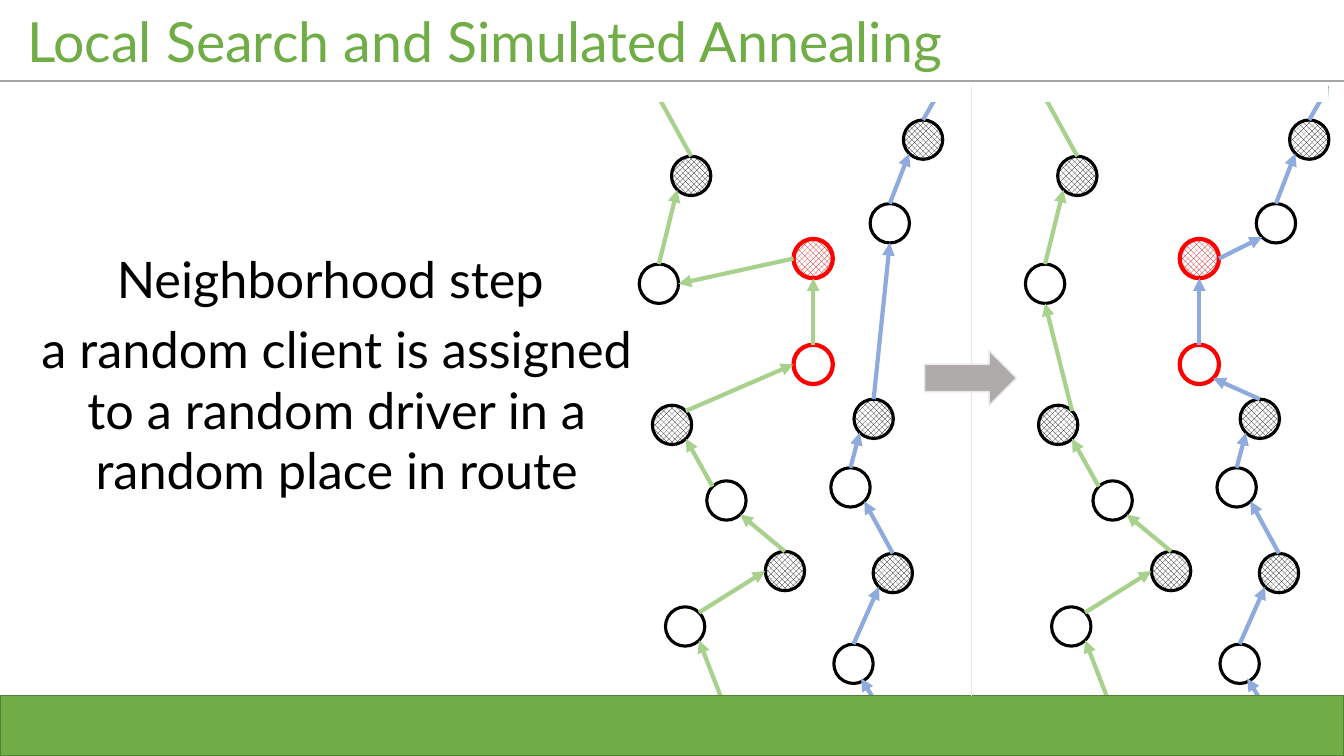
"""Draw the slide on moving a random client between two driver routes."""
from dataclasses import dataclass
from math import cos, radians, sin

from lxml import etree
from pptx import Presentation
from pptx import util as u
from pptx.dml.color import RGBColor
from pptx.enum import dml, shapes, text
from pptx.oxml.ns import qn

SIZE = 0.39
GREEN, BLUE = "A9D18E", "8FAADC"
ANGLE = {"R": 0, "BR": 45, "B": 90, "BL": 135, "L": 180, "TL": 225, "T": 270, "TR": 315}
Point = tuple[float, float]


@dataclass(frozen=True)
class Stop:
    left: float
    top: float
    hatch: bool = False
    moved: bool = False

    def site(self, side: str) -> Point:
        turn, half = radians(ANGLE[side]), SIZE / 2
        return self.left + half + half * cos(turn), self.top + half + half * sin(turn)


@dataclass(frozen=True)
class Link:
    start: str | Point
    end: str | Point
    hue: str


@dataclass(frozen=True)
class Panel:
    shift: float
    links: list[Link]


STOPS = {
    "A": Stop(6.6, 6.02),
    "B": Stop(7.59, 5.47, hatch=True),
    "C": Stop(7.01, 4.77),
    "D": Stop(6.47, 4.02, hatch=True),
    "E": Stop(7.87, 3.42, moved=True),
    "F": Stop(7.87, 2.37, hatch=True, moved=True),
    "G": Stop(6.34, 2.62),
    "H": Stop(6.66, 1.55, hatch=True),
    "P": Stop(8.27, 6.39),
    "Q": Stop(8.66, 5.49, hatch=True),
    "R": Stop(8.24, 4.64),
    "S": Stop(8.47, 3.96, hatch=True),
    "T": Stop(8.63, 2.02),
    "U": Stop(8.96, 1.19, hatch=True),
}
SHARED = [
    Link((7.21, 7.07), "A BR", GREEN),
    Link("A TR", "B L", GREEN),
    Link("B T", "C BR", GREEN),
    Link("C TL", "D BR", GREEN),
    Link("G T", "H BL", GREEN),
    Link("H T", (6.47, 0.85), GREEN),
    Link((8.93, 7.36), (8.54, 6.73), BLUE),
    Link("P T", "Q BL", BLUE),
    Link("Q T", "R BR", BLUE),
    Link("R T", "S BL", BLUE),
    Link("T T", "U BL", BLUE),
    Link("U T", (9.35, 0.85), BLUE),
]
PANELS = [
    Panel(0, [
        Link("D TR", "E L", GREEN),
        Link("E T", "F B", GREEN),
        Link("F L", "G R", GREEN),
        Link("S T", "T B", BLUE),
    ]),
    Panel(3.83, [
        Link("D TR", "G B", GREEN),
        Link("S T", "E BR", BLUE),
        Link("E T", "F B", BLUE),
        Link("F R", "T BL", BLUE),
    ]),
]


def color(code: str) -> RGBColor:
    return RGBColor.from_string(code)


def shape(slide, kind, box: tuple, fill: str, edge: str, width: float):
    item = slide.shapes.add_shape(kind, *map(u.Inches, box))
    item.shadow.inherit = False
    item.fill.solid()
    item.fill.fore_color.rgb = color(fill)
    item.line.color.rgb = color(edge)
    item.line.width = u.Pt(width)
    return item


def line(slide, start: Point, end: Point, hue: str, width: float, arrow: bool = False) -> None:
    item = slide.shapes.add_connector(
        shapes.MSO_CONNECTOR.STRAIGHT, *map(u.Inches, (*start, *end)))
    item.line.color.rgb = color(hue)
    item.line.width = u.Pt(width)
    props = item._element.spPr
    if arrow:
        etree.SubElement(props.find(qn("a:ln")), qn("a:tailEnd"), type="triangle")
    etree.SubElement(props, qn("a:effectLst"))


def label(slide, box: tuple, lines: list[str], size: float, hue: str):
    frame = slide.shapes.add_textbox(*map(u.Inches, box)).text_frame
    frame.word_wrap = True
    frame.text = "\n".join(lines)
    for par in frame.paragraphs:
        par.font.name = "Lato"
        par.font.size = u.Pt(size)
        par.font.color.rgb = color(hue)
    return frame


def place(ref: str | Point, shift: float) -> Point:
    if isinstance(ref, str):
        name, side = ref.split()
        ref = STOPS[name].site(side)
    return ref[0] + shift, ref[1]


def draw(slide, panel: Panel) -> None:
    for stop in STOPS.values():
        box = (stop.left + panel.shift, stop.top, SIZE, SIZE)
        edge, width = ("FF0000", 3) if stop.moved else ("000000", 2.25)
        disc = shape(slide, shapes.MSO_SHAPE.OVAL, box, "FFFFFF", edge, width)
        if stop.hatch:
            disc.fill.patterned()
            disc.fill.pattern = dml.MSO_PATTERN.LARGE_CHECKER_BOARD
            disc.fill.fore_color.rgb = color("C00000" if stop.moved else "000000")
            disc.fill.back_color.rgb = color("FFFFFF")
    for link in SHARED + panel.links:
        line(slide, place(link.start, panel.shift), place(link.end, panel.shift),
             link.hue, 3, arrow=True)


def main() -> None:
    deck = Presentation()
    deck.slide_width, deck.slide_height = u.Inches(13.33), u.Inches(7.5)
    slide = deck.slides.add_slide(deck.slide_layouts[6])

    title = label(slide, (0.17, 0, 12.99, 0.8),
                  ["Local Search and Simulated Annealing"], 39.6, "70AD47")
    title.vertical_anchor = text.MSO_ANCHOR.MIDDLE
    line(slide, (0, 0.8), (13.33, 0.8), "A5A5A5", 1.5)

    body = label(slide, (0.17, 1.81, 6.34, 4.94), [
        "Neighborhood step ",
        "a random client is assigned to a random driver in a random place in route",
    ], 36, "000000")
    for par in body.paragraphs:
        par.alignment = text.PP_ALIGN.CENTER
        par.space_before = u.Pt(7.2)
    body.paragraphs[0].line_spacing = 2.0

    for panel in PANELS:
        draw(slide, panel)
    rect = shapes.MSO_SHAPE.RECTANGLE
    shape(slide, rect, (6.1, 0.85, 7.07, 0.16), "FFFFFF", "FFFFFF", 1)
    shape(slide, rect, (0, 6.9, 13.33, 0.6), "70AD47", "538035", 1)
    line(slide, (9.63, 0.85), (9.63, 6.9), "E7E6E6", 0.5)
    shape(slide, shapes.MSO_SHAPE.RIGHT_ARROW, (9.17, 3.48, 0.91, 0.54), "AFABAB", "E7E6E6", 1)
    deck.save("out.pptx")


if __name__ == "__main__":
    main()
